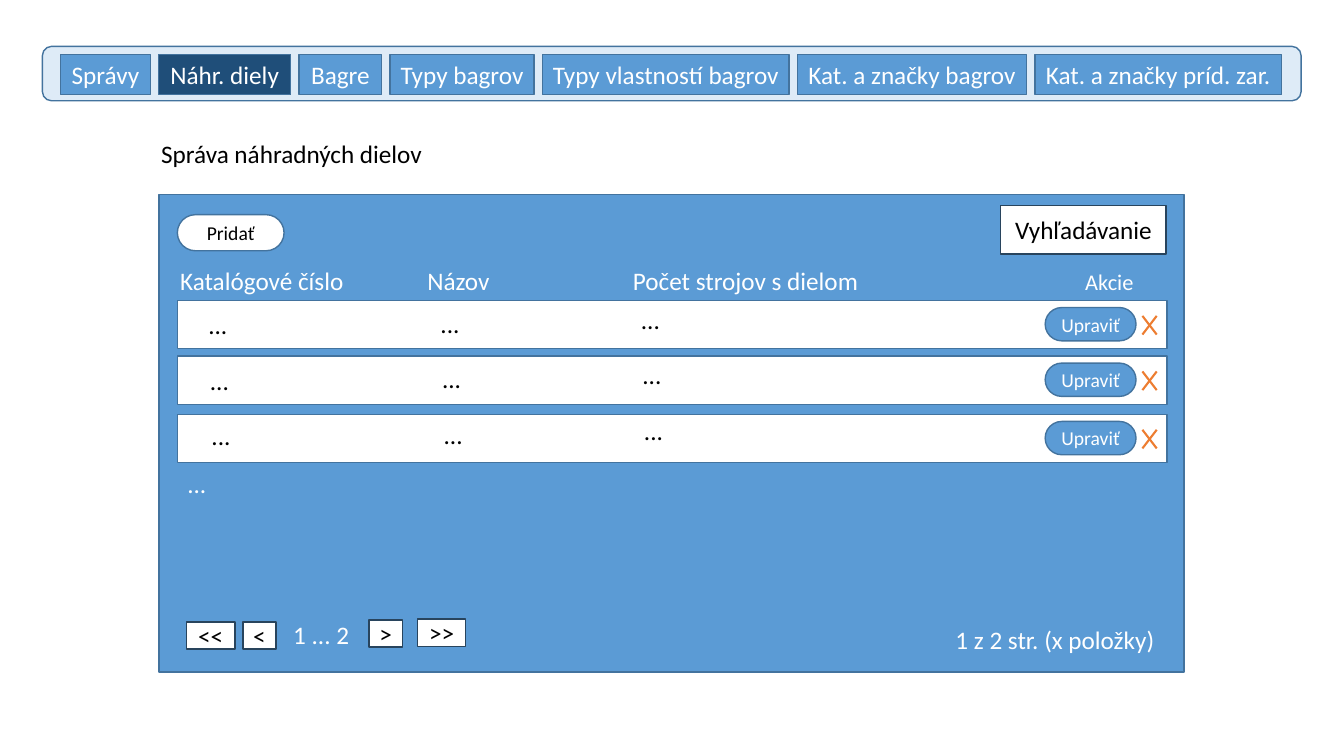
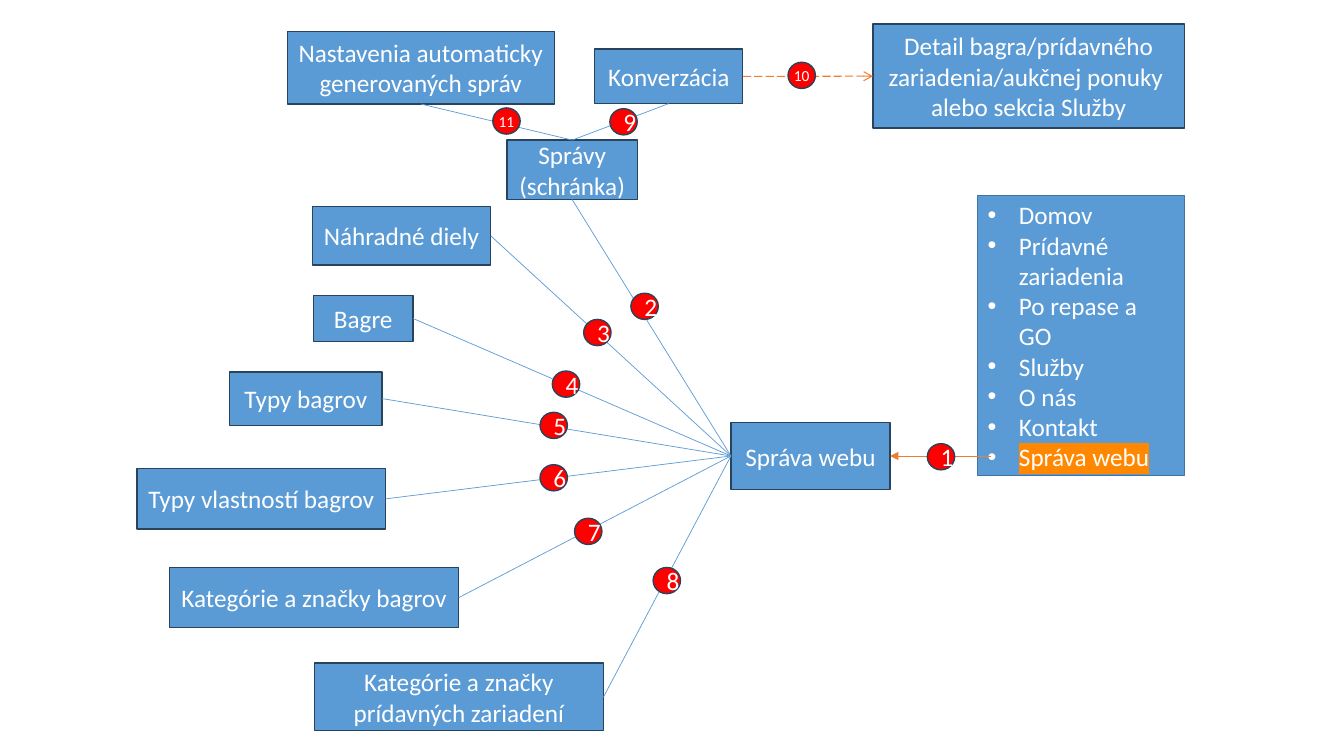
from lxml import etree
from pptx import Presentation
from pptx.dml.color import RGBColor
from pptx.enum import dml, shapes, text
from pptx.oxml import ns
from pptx.util import Cm, Pt

rgb = RGBColor.from_string
WHITE, BLACK, BLUE, NAVY = "FFFFFF", "000000", "5B9BD5", "1F4E79"
PALE, EDGE, DARK_EDGE = "DEEBF7", "43739E", "28445D"
ORANGE, RED, HIGHLIGHT = "ED7D31", "FF0000", "FF8800"
RECT = shapes.MSO_SHAPE.RECTANGLE
ROUNDED = shapes.MSO_SHAPE.ROUNDED_RECTANGLE
OVAL = shapes.MSO_SHAPE.OVAL


def put(page, at, words="", fill=None, edge=EDGE, kind=RECT, size=18, colour=WHITE, bullets=False):
    """Add a filled shape, or a plain text box when there is no fill."""
    place = [Cm(value) for value in at]
    if fill:
        box = page.shapes.add_shape(kind, *place)
        box.shadow.inherit = False
        box.fill.solid()
        box.fill.fore_color.rgb = rgb(fill)
        box.line.color.rgb = rgb(edge)
        box.line.width = Pt(1)
    else:
        box = page.shapes.add_textbox(*place)
    frame = box.text_frame
    frame.word_wrap = True
    if words:
        frame.text = words
    for para in frame.paragraphs:
        para.alignment = text.PP_ALIGN.CENTER if fill and not bullets else text.PP_ALIGN.LEFT
        if bullets:
            props = para._p.get_or_add_pPr()
            props.set("marL", str(Cm(0.79)))
            props.set("indent", str(-Cm(0.79)))
            etree.SubElement(props, ns.qn("a:buFont")).set("typeface", "Arial")
            etree.SubElement(props, ns.qn("a:buChar")).set("char", "•")
        para.font.name = "Calibri"
        para.font.size = Pt(size)
        para.font.color.rgb = rgb(colour)
    return box


def draw_line(page, start, end, colour=BLUE, width=0.5, arrow=None, dash=None):
    """Join points (x, y) or sides (box, site) with a straight line."""
    points = [(0, 0) if hasattr(spot[0], "shape_id") else (Cm(spot[0]), Cm(spot[1])) for spot in (start, end)]
    line = page.shapes.add_connector(shapes.MSO_CONNECTOR.STRAIGHT, *points[0], *points[1])
    for spot, connect in ((start, line.begin_connect), (end, line.end_connect)):
        if hasattr(spot[0], "shape_id"):
            connect(*spot)
    line.line.color.rgb = rgb(colour)
    line.line.width = Pt(width)
    if dash:
        line.line.dash_style = dash
    if arrow:
        etree.SubElement(line.line._get_or_add_ln(), ns.qn("a:tailEnd")).set("type", arrow)
    etree.SubElement(line._element.spPr, ns.qn("a:effectLst"))


deck = Presentation()
deck.slide_width, deck.slide_height = Cm(33.87), Cm(19.05)
blank = deck.slide_layouts[6]

# Slide 1: spare parts administration
page = deck.slides.add_slide(blank)

# Navigation bar
put(page, (1.07, 1.17, 31.72, 1.37), fill=PALE, kind=ROUNDED)
left = 1.53
for label, width in [
    ("Správy", 2.26), ("Náhr. diely", 3.33), ("Bagre", 2.08), ("Typy bagrov", 3.63),
    ("Typy vlastností bagrov", 6.22), ("Kat. a značky bagrov", 5.77), ("Kat. a značky príd. zar.", 6.22),
]:
    put(page, (left, 1.37, width, 1.02), label, NAVY if label == "Náhr. diely" else BLUE)
    left += width + 0.21

# Heading and panel
put(page, (3.81, 3.35, 7.3, 1.02), "Správa náhradných dielov", colour=BLACK)
put(page, (4.01, 4.9, 25.83, 12.04), fill=BLUE)
add_button = put(page, (4.47, 5.41, 2.69, 0.91), "Pridať", WHITE, kind=ROUNDED, size=14, colour=BLACK)
add_button.adjustments[0] = 0.5
put(page, (25.22, 5.18, 4.17, 1.22), "Vyhľadávanie", WHITE, DARK_EDGE, colour=BLACK)

# Column headings
for label, left, width in [
    ("Katalógové číslo", 4.29, 4.7), ("Názov", 10.52, 2.29), ("Počet strojov s dielom", 15.7, 6.38),
]:
    put(page, (left, 6.55, width, 1.02), label)
put(page, (27.1, 6.63, 1.85, 0.94), "Akcie", size=16)

# Table rows with their actions
for index, top in enumerate((7.57, 8.97, 10.44)):
    put(page, (4.47, top, 24.94, 1.22), fill=WHITE)
    for left, first_top in ((5.0, 7.67), (10.85, 7.64), (15.9, 7.54)):
        put(page, (left + 0.04 * index, first_top + 1.4 * index, 1.22, 1.02), "...", colour=BLACK)
    edit_button = put(page, (26.34, top + 0.18, 2.29, 0.84), "Upraviť", BLUE, kind=ROUNDED, size=14)
    edit_button.adjustments[0] = 0.5
    cross_top, cross_bottom = top + 0.39, top + 0.86
    for start, end in ((cross_top, cross_bottom), (cross_bottom, cross_top)):
        draw_line(page, (28.79, start), (29.15, end), ORANGE, 1.5)
put(page, (4.47, 11.68, 1.22, 1.02), "...")

# Pager
for label, left, top, width in [
    ("<<", 4.7, 15.67, 1.22), ("<", 6.12, 15.67, 0.84), (">", 9.3, 15.62, 0.84), (">>", 10.52, 15.6, 1.22),
]:
    put(page, (left, top, width, 0.69), label, WHITE, DARK_EDGE, colour=BLACK)
put(page, (7.14, 15.47, 1.96, 1.02), "1 ... 2")
put(page, (23.83, 15.6, 5.79, 1.02), "1 z 2 str. (x položky)")

# Slide 2: site map of the administration
page = deck.slides.add_slide(blank)

# Main menu with the current item highlighted
menu_items = ["Domov", "Prídavné zariadenia", "Po repase a GO", "Služby", "O nás", "Kontakt", "Správa webu"]
menu = put(page, (24.64, 4.93, 5.21, 7.06), "\n".join(menu_items), BLUE, bullets=True)
current = menu.text_frame.paragraphs[-1].runs[0]
mark = etree.SubElement(current._r.get_or_add_rPr(), ns.qn("a:highlight"))
etree.SubElement(mark, ns.qn("a:srgbClr")).set("val", HIGHLIGHT)

# Hub and its branches
hub = put(page, (18.42, 10.64, 4.01, 1.7), "Správa webu", BLUE, DARK_EDGE)
draw_line(page, (24.97, 11.49), (hub, 3), ORANGE, arrow="triangle")
branches = {}
for label, at in [
    ("Správy (schránka)", (12.78, 3.53, 3.28, 1.5)),
    ("Náhradné diely", (7.87, 5.21, 4.5, 1.47)),
    ("Bagre", (7.9, 7.44, 2.51, 1.17)),
    ("Typy bagrov", (5.79, 9.37, 3.84, 1.35)),
    ("Typy vlastností bagrov", (3.45, 11.81, 6.27, 1.52)),
    ("Kategórie a značky bagrov", (4.27, 14.3, 7.29, 1.52)),
    ("Kategórie a značky prídavných zariadení", (7.92, 16.71, 7.29, 1.7)),
]:
    branches[label] = put(page, at, label, BLUE, DARK_EDGE)
    draw_line(page, (hub, 1), (branches[label], 2 if label.startswith("Správy") else 3))

# Pages reached from the inbox
inbox = branches["Správy (schránka)"]
settings = put(page, (7.24, 0.79, 6.73, 1.83), "Nastavenia automaticky generovaných správ", BLUE, DARK_EDGE)
conversation = put(page, (14.99, 1.24, 3.73, 1.37), "Konverzácia", BLUE, DARK_EDGE)
detail = put(page, (22, 0.61, 7.85, 2.62),
             "Detail bagra/prídavného zariadenia/aukčnej ponuky \valebo sekcia Služby", BLUE, DARK_EDGE)
for target in (settings, conversation):
    draw_line(page, (inbox, 0), (target, 2))
draw_line(page, (conversation, 3), (detail, 1), ORANGE, 0.75, "arrow", dml.MSO_LINE.LONG_DASH)

# Numbered badges on the lines
badges = [
    (23.37, 11.18), (15.9, 7.39), (14.71, 8.05), (13.92, 9.35), (13.61, 10.39), (13.61, 11.71),
    (14.48, 13.06), (16.46, 14.3), (15.37, 2.74), (19.86, 1.57), (12.42, 2.72),
]
for number, (left, top) in enumerate(badges, 1):
    two_digits = number > 9
    badge = put(page, (left, top, 0.69, 0.66), str(number), RED, DARK_EDGE, OVAL, 11 if two_digits else 18)
    if two_digits:
        frame = badge.text_frame
        frame.word_wrap = False
        frame.margin_left = frame.margin_right = frame.margin_top = frame.margin_bottom = 0

deck.save("out.pptx")
